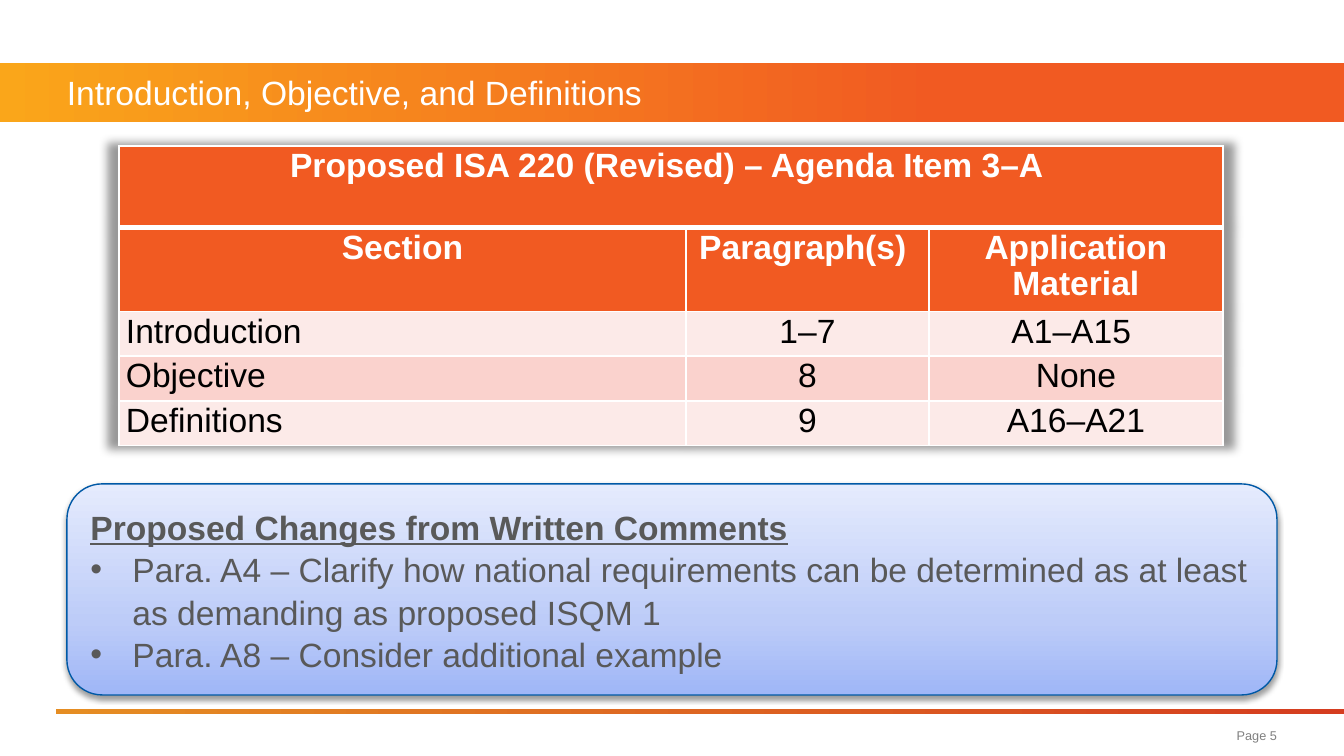
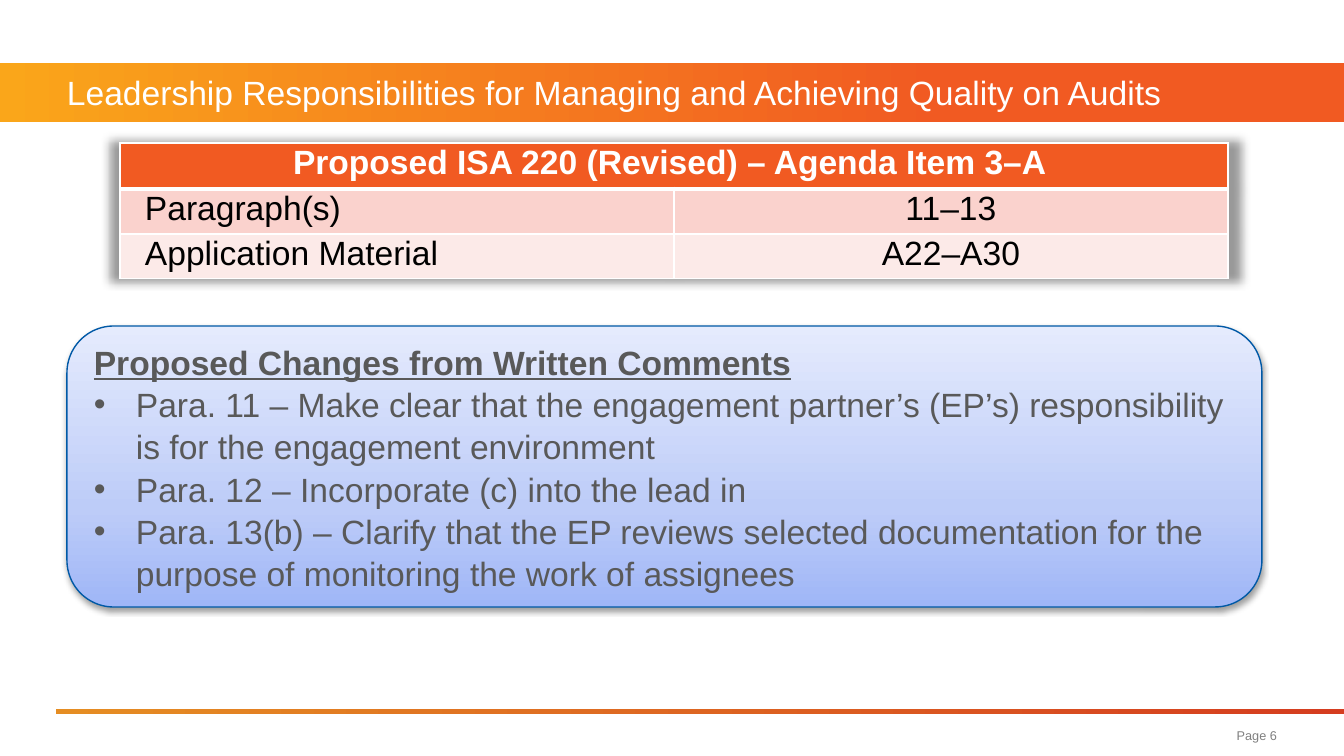
from lxml.etree import SubElement, fromstring
from pptx import Presentation
from pptx.dml.color import RGBColor
from pptx.enum.shapes import MSO_SHAPE
from pptx.enum.text import MSO_ANCHOR, PP_ALIGN
from pptx.oxml.ns import qn
from pptx.util import Emu, Pt

SCALE = 914400 * 10 / 1344
WIDE, HIGH = 1344, 756
SPACE = 'xmlns:a="http://schemas.openxmlformats.org/drawingml/2006/main"'
INK = {
    "white": "FFFFFF", "black": "000000", "orange": "F15A22", "gold": "FAA61A",
    "red": "D53D20", "amber": "E58D23", "pale": "FCEAE8", "pink": "FAD2CD",
    "body": "595959", "page": "808080", "edge": "0059A6",
    "deep": "9FB6F7", "mid": "BDCCF8", "light": "E5EBFD",
}
FONTS = {
    "title": {"size": Pt(18), "ink": "white"},
    "page": {"size": Pt(6.8), "ink": "page"},
    "head": {"size": Pt(18), "ink": "white", "bold": True},
    "cell": {"size": Pt(18), "ink": "black", "bold": False},
    "lead": {"size": Pt(18), "ink": "body", "bold": True, "underline": True},
    "note": {"size": Pt(18), "ink": "body", "bold": False},
}
BAND = (0, 63, 1344, 59)
RULE = (56, 709, 1288, 5)
FOOT = (871, 718, 406, 34)
ITEM = "Proposed ISA 220 (Revised) – Agenda Item 3–A "
LEAD = "Proposed Changes from Written Comments"


def px(*nums):
    return [Emu(round(n * SCALE)) for n in nums]


def write(para, text, kind, align=PP_ALIGN.LEFT, space=1.0):
    para.alignment, para.line_spacing = align, space
    run = para.add_run()
    run.text = text
    run.font.name = "Arial"
    for key, value in FONTS[kind].items():
        if key == "ink":
            run.font.color.rgb = RGBColor.from_string(INK[value])
        else:
            setattr(run.font, key, value)


def blend(shape, stops, angle=0):
    """Fill a shape with a gradient of (percent, ink) stops."""
    shape.fill.background()
    marks = "".join(f'<a:gs pos="{at * 1000}"><a:srgbClr val="{INK[ink]}"/></a:gs>'
                    for at, ink in stops)
    grad = fromstring(f'<a:gradFill {SPACE} rotWithShape="1"><a:gsLst>{marks}</a:gsLst>'
                      f'<a:lin ang="{angle * 60000}" scaled="0"/></a:gradFill>')
    props = shape._element.spPr
    props.replace(props.find(qn("a:noFill")), grad)


def shade(blur, alpha, more):
    return fromstring(
        f'<a:effectLst {SPACE}><a:outerShdw blurRad="{blur}" {more} rotWithShape="0">'
        f'<a:srgbClr val="{INK["black"]}"><a:alpha val="{alpha * 1000}"/></a:srgbClr>'
        '</a:outerShdw></a:effectLst>')


def strip(slide, box, stops):
    bar = slide.shapes.add_shape(MSO_SHAPE.RECTANGLE, *px(*box))
    bar.shadow.inherit = False
    bar.line.fill.background()
    blend(bar, stops)


def label(slide, box, text, kind, align=PP_ALIGN.LEFT):
    frame = slide.shapes.add_textbox(*px(*box)).text_frame
    form = {"word_wrap": True, "vertical_anchor": MSO_ANCHOR.MIDDLE, "margin_left": 0,
            "margin_right": 0, "margin_top": 0, "margin_bottom": 0}
    for key, value in form.items():
        setattr(frame, key, value)
    write(frame.paragraphs[0], text, kind, align)


def frame(deck, title, page):
    """Add a slide with its title band, rule and page number."""
    slide = deck.slides.add_slide(deck.slide_layouts[6])
    strip(slide, BAND, [(0, "gold"), (70, "orange")])
    strip(slide, RULE, [(0, "amber"), (100, "red")])
    left, top, _, high = BAND
    label(slide, (left + 67, top, WIDE - 67, high), title, "title")
    label(slide, FOOT, f"Page {page}", "page", PP_ALIGN.RIGHT)
    return slide


def edge(cell, row):
    """Draw white cell borders, thick below the top row."""
    props = cell._tc.get_or_add_tcPr()
    thick = {"T": row == 1, "B": row == 0}
    for spot, side in enumerate("LRTB"):
        width = Pt(3 if thick.get(side) else 1)
        props.insert(spot, fromstring(
            f'<a:ln{side} {SPACE} w="{width}"><a:solidFill>'
            f'<a:srgbClr val="{INK["white"]}"/></a:solidFill></a:ln{side}>'))


def grid(slide, box, rows, cols, highs, heads, indent=0):
    shape = slide.shapes.add_table(len(rows), len(cols), *px(*box))
    table = shape.table
    table.horz_banding = False
    table._tbl.tblPr.insert(
        0, shade(63500, 40, 'sx="102000" sy="102000" algn="ctr"'))
    for col, width in zip(table.columns, px(*cols)):
        col.width = width
    for row, high in zip(table.rows, px(*highs)):
        row.height = high
    table.cell(0, 0).merge(table.cell(0, len(cols) - 1))
    for r, row in enumerate(rows):
        for c in range(len(cols)):
            cell = table.cell(r, c)
            head = r < heads
            side = c == 0 and not head
            left, thin = px(7 + indent * side, 3)
            form = {"margin_left": left, "margin_right": px(7)[0],
                    "margin_top": thin, "margin_bottom": thin}
            for key, value in form.items():
                setattr(cell, key, value)
            ink = "orange" if head else ("pale", "pink")[r % 2]
            cell.fill.solid()
            cell.fill.fore_color.rgb = RGBColor.from_string(INK[ink])
            edge(cell, r)
            if c < len(row):
                write(cell.text_frame.paragraphs[0], row[c], "head" if head else "cell",
                      PP_ALIGN.LEFT if side else PP_ALIGN.CENTER, 0.96)


def panel(slide, box, notes):
    """Add the rounded box of proposed changes."""
    card = slide.shapes.add_shape(MSO_SHAPE.ROUNDED_RECTANGLE, *px(*box))
    blend(card, [(0, "deep"), (35, "mid"), (100, "light")], 270)
    card.line.color.rgb = RGBColor.from_string(INK["edge"])
    card.line.width = Pt(0.75)
    card._element.spPr.append(shade(40000, 38, 'dist="20000" dir="5400000"'))
    text = card.text_frame
    text.word_wrap, text.vertical_anchor = True, MSO_ANCHOR.MIDDLE
    write(text.paragraphs[0], LEAD, "lead", space=1.05)
    step = px(42)[0]
    for note in notes:
        para = text.add_paragraph()
        props = para._p.get_or_add_pPr()
        props.set("marL", str(step))
        props.set("indent", str(-step))
        SubElement(props, qn("a:buFont")).set("typeface", "Arial")
        SubElement(props, qn("a:buChar")).set("char", "•")
        write(para, note, "note", space=1.05)


def intro(deck):
    slide = frame(deck, "Introduction, Objective, and Definitions", 5)
    rows = [
        [ITEM],
        ["Section", "Paragraph(s) ", "Application Material"],
        ["Introduction", "1–7", "A1–A15 "],
        ["Objective", "8", "None"],
        ["Definitions", "9", "A16–A21"],
    ]
    grid(slide, (119, 146, 1104, 296), rows, [567, 243, 294], [82, 82, 44, 44, 44], 2)
    panel(slide, (67, 484, 1210, 211), [
        "Para. A4 – Clarify how national requirements can be determined as at least "
        "as demanding as proposed ISQM 1",
        "Para. A8 – Consider additional example",
    ])


def leader(deck):
    slide = frame(
        deck, "Leadership Responsibilities for Managing and Achieving Quality on Audits", 6)
    rows = [[ITEM], ["Paragraph(s)", "11–13"], ["Application Material", "A22–A30"]]
    grid(slide, (120, 143, 1108, 134), rows, [554, 554], [46, 44, 44], 1, indent=18)
    panel(slide, (67, 326, 1195, 281), [
        "Para. 11 – Make clear that the engagement partner’s (EP’s) responsibility "
        "is for the engagement environment",
        "Para. 12 – Incorporate (c) into the lead in",
        "Para. 13(b) – Clarify that the EP reviews selected documentation for the "
        "purpose of monitoring the work of assignees",
    ])


def main():
    deck = Presentation()
    deck.slide_width, deck.slide_height = px(WIDE, HIGH)
    intro(deck)
    leader(deck)
    deck.save("out.pptx")


if __name__ == "__main__":
    main()
